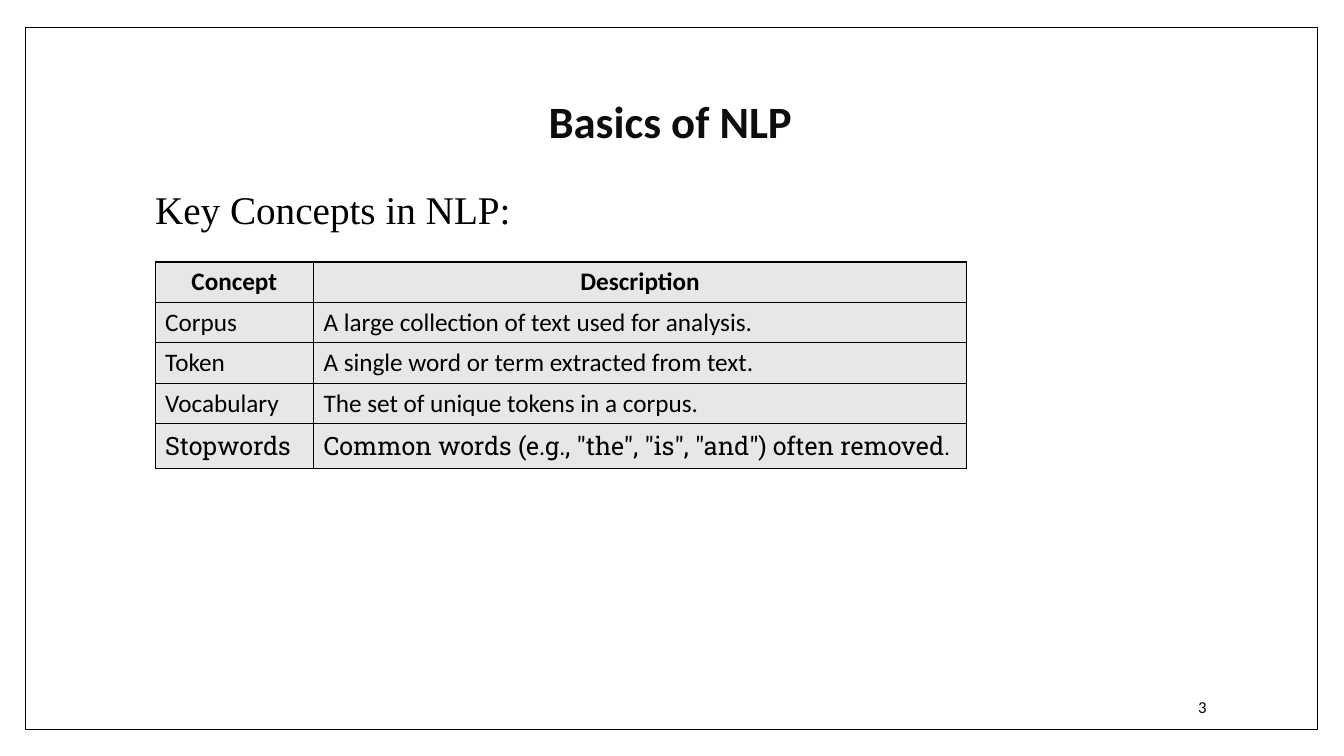
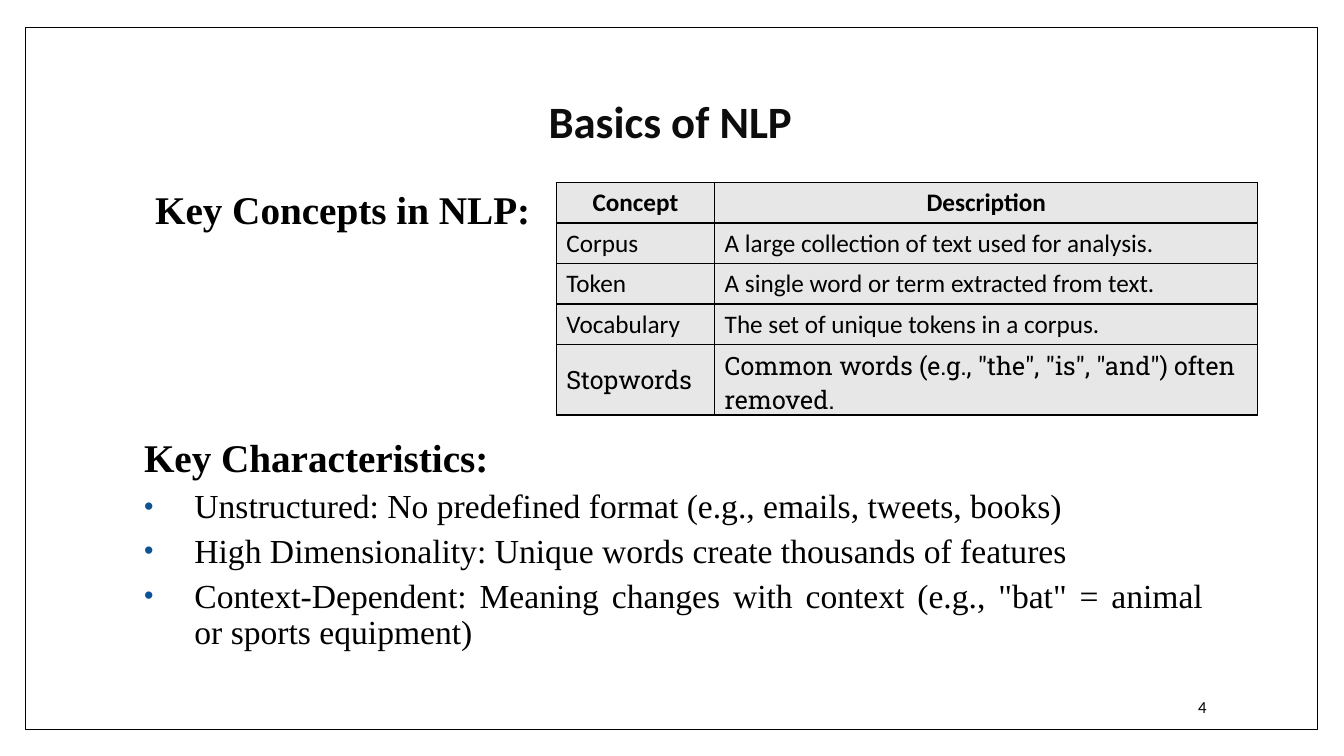
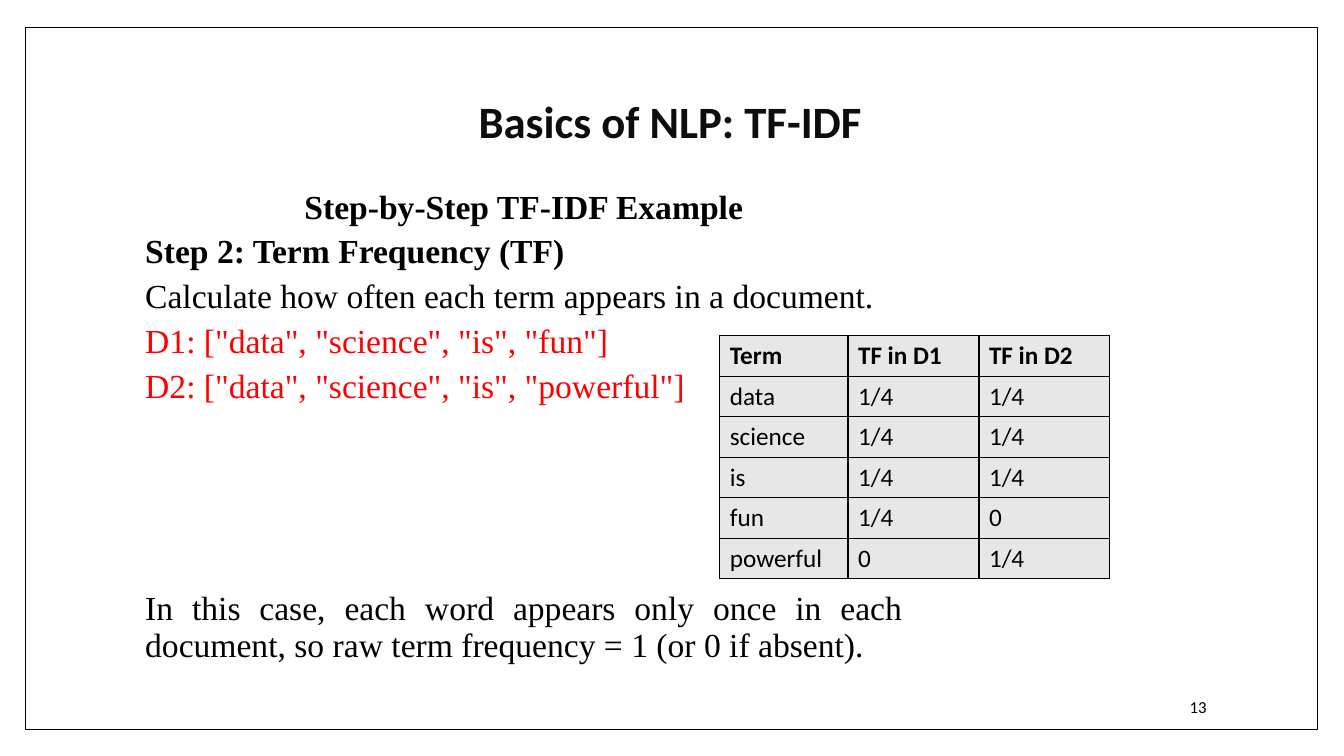
from dataclasses import dataclass

from lxml import etree
from pptx import Presentation
from pptx.dml.color import RGBColor
from pptx.enum.shapes import MSO_SHAPE
from pptx.enum.text import MSO_ANCHOR, PP_ALIGN
from pptx.oxml.ns import qn
from pptx.slide import Slide
from pptx.text.text import TextFrame, _Paragraph
from pptx.util import Cm, Pt

COLORS = {
    "paper": "FFFFFF",
    "ink": "000000",
    "title": "0D0D0D",
    "cell": "E7E7E7",
    "bullet": "0B5395",
    "example": "FF0000",
}
SANS = "Calibri"
SERIF = "Times New Roman"
SLAB = "Roboto Slab"
LEFT, CENTER, RIGHT = PP_ALIGN.LEFT, PP_ALIGN.CENTER, PP_ALIGN.RIGHT
JUSTIFY = PP_ALIGN.JUSTIFY
TOP, MIDDLE = MSO_ANCHOR.TOP, MSO_ANCHOR.MIDDLE
RECTANGLE = MSO_SHAPE.RECTANGLE
TITLE_ONLY = 5
ROW_HEIGHT = 1.02
BORDER_WIDTH = Pt(1)
TEXT_INDENT = 0.23
BULLET_INDENT = 1.5
BULLET_HANG = 1.27


@dataclass(frozen=True)
class Area:
    left: float
    top: float
    width: float
    height: float


@dataclass(frozen=True)
class Line:
    text: str
    size: float = 24
    bold: bool = False
    color: str = "ink"
    align: PP_ALIGN = JUSTIFY
    indent: float = TEXT_INDENT
    bullet: bool = False


@dataclass(frozen=True)
class Grid:
    left: float
    top: float
    widths: tuple[float, ...]
    rows: tuple[tuple[str, ...], ...]
    header_align: PP_ALIGN = LEFT
    last_font: str = SANS
    last_height: float = ROW_HEIGHT


FRAME = Area(0.64, 0.69, 32.56, 17.7)
TITLE = Area(3.18, 1.24, 27.43, 3.76)
NUMBER = Area(25.91, 17.3, 4.75, 1.02)
BODY_TOP = 4.67
HEADING = Area(3.18, BODY_TOP, 27.43, 1.5)
HEADING_INDENT = 0.48

CONCEPTS = (
    ("Concept", "Description"),
    ("Corpus", "A large collection of text used for analysis."),
    ("Token", "A single word or term extracted from text."),
    ("Vocabulary", "The set of unique tokens in a corpus."),
    ("Stopwords", 'Common words (e.g., "the", "is", "and") often removed.'),
)
FREQUENCIES = (
    ("Term", "TF in D1", "TF in D2"),
    ("data", "1/4", "1/4"),
    ("science", "1/4", "1/4"),
    ("is", "1/4", "1/4"),
    ("fun", "1/4", "0"),
    ("powerful", "0", "1/4"),
)
CHARACTERISTICS = (
    "Unstructured: No predefined format (e.g., emails, tweets, books)",
    "High Dimensionality: Unique words create thousands of features",
    "Context-Dependent: Meaning changes with context "
    '(e.g., "bat" = animal or sports equipment)',
)


def rgb(name: str) -> RGBColor:
    return RGBColor.from_string(COLORS[name])


def measures(area: Area) -> tuple[Cm, Cm, Cm, Cm]:
    return Cm(area.left), Cm(area.top), Cm(area.width), Cm(area.height)


def write_text(
    para: _Paragraph,
    text: str,
    *,
    size: float,
    font: str = SANS,
    color: str = "ink",
    bold: bool = False,
    align: PP_ALIGN = LEFT,
) -> None:
    para.alignment = align
    span = para.add_run()
    span.text = text
    span.font.name = font
    span.font.size = Pt(size)
    span.font.bold = bold
    span.font.color.rgb = rgb(color)


def add_box(page: Slide, area: Area, anchor: MSO_ANCHOR = TOP) -> TextFrame:
    frame = page.shapes.add_textbox(*measures(area)).text_frame
    frame.word_wrap = True
    frame.vertical_anchor = anchor
    return frame


def add_bullet(para: _Paragraph) -> None:
    properties = para._p.get_or_add_pPr()
    properties.set("indent", str(-Cm(BULLET_HANG)))
    color = etree.SubElement(properties, qn("a:buClr"))
    etree.SubElement(color, qn("a:srgbClr"), val=COLORS["bullet"])
    etree.SubElement(properties, qn("a:buSzPct"), val="80000")
    etree.SubElement(properties, qn("a:buFont"), typeface="Arial")
    etree.SubElement(properties, qn("a:buChar"), char="•")


def add_lines(page: Slide, area: Area, lines: list[Line]) -> None:
    frame = add_box(page, area)
    for index, line in enumerate(lines):
        para = frame.add_paragraph() if index else frame.paragraphs[0]
        para.line_spacing = 0.9
        para.space_before = Pt(2 if index else 0)
        para.space_after = Pt(4)
        para._p.get_or_add_pPr().set("marL", str(Cm(line.indent)))
        if line.bullet:
            add_bullet(para)
        write_text(
            para, line.text, size=line.size, font=SERIF,
            color=line.color, bold=line.bold, align=line.align,
        )


def add_borders(cell) -> None:
    properties = cell._tc.get_or_add_tcPr()
    for index, side in enumerate(("a:lnL", "a:lnR", "a:lnT", "a:lnB")):
        edge = etree.Element(qn(side), w=str(BORDER_WIDTH))
        fill = etree.SubElement(edge, qn("a:solidFill"))
        etree.SubElement(fill, qn("a:srgbClr"), val=COLORS["ink"])
        properties.insert(index, edge)


def add_grid(page: Slide, grid: Grid) -> None:
    last = len(grid.rows) - 1
    heights = [ROW_HEIGHT] * last + [grid.last_height]
    area = Area(grid.left, grid.top, sum(grid.widths), sum(heights))
    table = page.shapes.add_table(
        len(grid.rows), len(grid.widths), *measures(area)
    ).table
    table.first_row = False
    table.horz_banding = False
    for column, width in zip(table.columns, grid.widths):
        column.width = Cm(width)
    for index, (row, height, texts) in enumerate(
        zip(table.rows, heights, grid.rows)
    ):
        row.height = Cm(height)
        for cell, text in zip(row.cells, texts):
            cell.vertical_anchor = MIDDLE
            cell.fill.solid()
            cell.fill.fore_color.rgb = rgb("cell")
            add_borders(cell)
            write_text(
                cell.text_frame.paragraphs[0], text, size=18,
                font=grid.last_font if index == last else SANS,
                bold=index == 0,
                align=LEFT if index else grid.header_align,
            )


def add_page(deck, title: str, number: int) -> Slide:
    page = deck.slides.add_slide(deck.slide_layouts[TITLE_ONLY])
    border = page.shapes.add_shape(RECTANGLE, *measures(FRAME))
    border.shadow.inherit = False
    border.fill.solid()
    border.fill.fore_color.rgb = rgb("paper")
    border.line.color.rgb = rgb("ink")
    border.line.width = BORDER_WIDTH
    page.shapes._spTree.insert(2, border._element)

    heading = page.shapes.title
    heading.left, heading.top, heading.width, heading.height = measures(TITLE)
    heading.text_frame.vertical_anchor = MIDDLE
    para = heading.text_frame.paragraphs[0]
    para.line_spacing = 0.9
    write_text(para, title, size=32, color="title", bold=True, align=CENTER)

    footer = add_box(page, NUMBER, MIDDLE)
    write_text(footer.paragraphs[0], str(number), size=12, align=RIGHT)
    return page


def concept_grid(left: float, top: float, description_width: float) -> Grid:
    return Grid(
        left, top, (3.99, description_width), CONCEPTS,
        header_align=CENTER, last_font=SLAB, last_height=1.12,
    )


def add_concepts(deck) -> None:
    page = add_page(deck, "Basics of NLP", 3)
    heading = Line("Key Concepts in NLP:", size=28, indent=HEADING_INDENT)
    add_lines(page, HEADING, [heading])
    add_grid(page, concept_grid(3.91, 6.6, 16.46))


def add_characteristics(deck) -> None:
    page = add_page(deck, "Basics of NLP", 4)
    heading = Line(
        "Key Concepts in NLP:", size=28, bold=True, indent=HEADING_INDENT
    )
    add_lines(page, HEADING, [heading])
    add_grid(page, concept_grid(14.02, 4.6, 13.69))
    bullets = [
        Line(text, indent=BULLET_INDENT, bullet=True)
        for text in CHARACTERISTICS
    ]
    add_lines(
        page, Area(3.15, 10.94, 27.43, 7.11),
        [Line("Key Characteristics:", size=28, bold=True), *bullets],
    )


def add_term_frequency(deck) -> None:
    page = add_page(deck, "Basics of NLP: TF-IDF", 13)
    add_lines(page, Area(3.18, BODY_TOP, 19.81, 6), [
        Line("Step-by-Step TF-IDF Example", bold=True, align=CENTER),
        Line("Step 2: Term Frequency (TF)", bold=True),
        Line("Calculate how often each term appears in a document."),
        Line('D1: ["data", "science", "is", "fun"]', color="example"),
        Line('D2: ["data", "science", "is", "powerful"]', color="example"),
    ])
    add_lines(page, Area(3.18, 14.79, 19.81, 2.2), [
        Line(
            "In this case, each word appears only once in each document, "
            "so raw term frequency = 1 (or 0 if absent)."
        ),
    ])
    add_grid(page, Grid(18.14, 8.46, (3.23, 3.3, 3.3), FREQUENCIES))


def main() -> None:
    deck = Presentation()
    deck.slide_width = Cm(33.87)
    deck.slide_height = Cm(19.05)
    add_concepts(deck)
    add_characteristics(deck)
    add_term_frequency(deck)
    deck.save("out.pptx")


if __name__ == "__main__":
    main()
